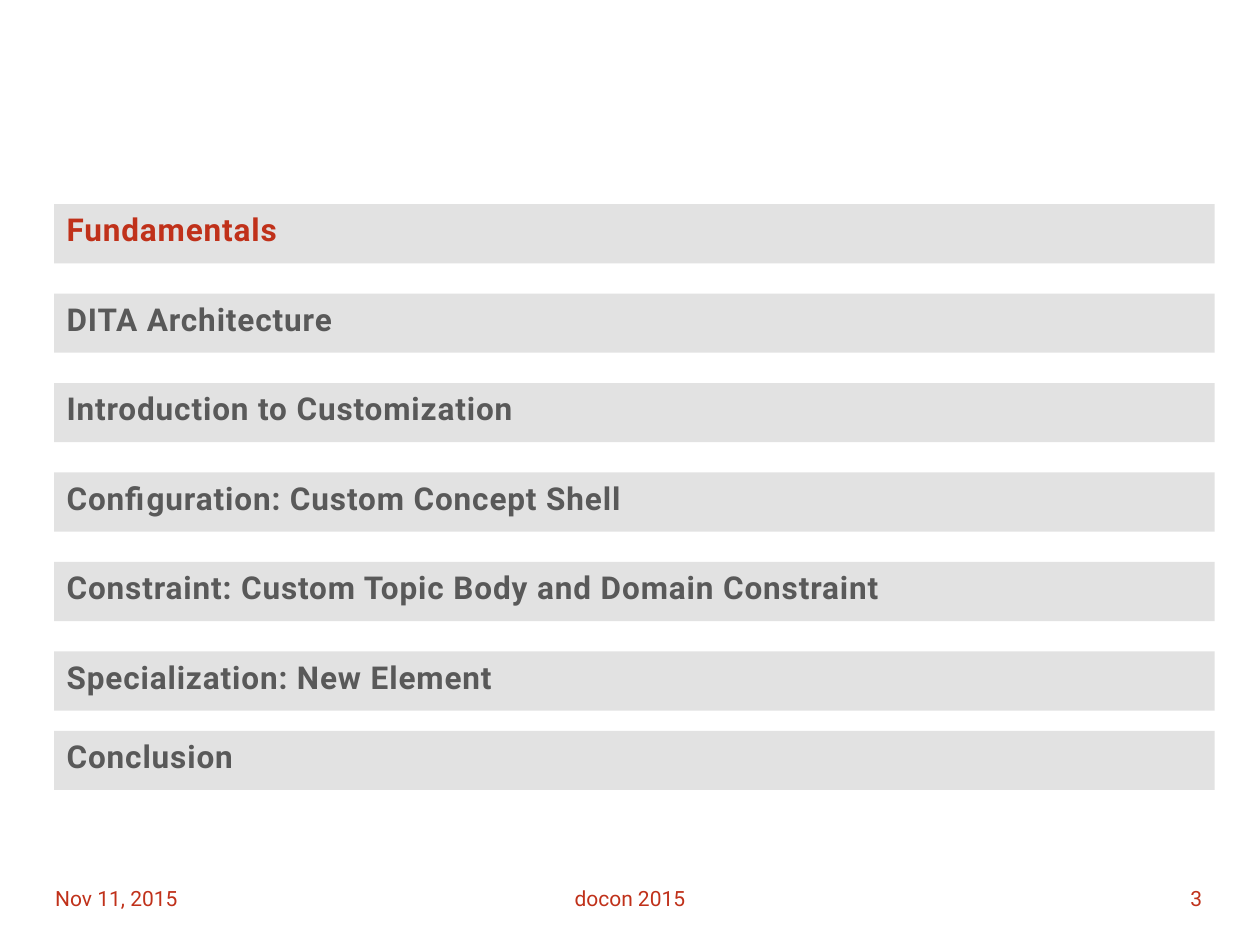
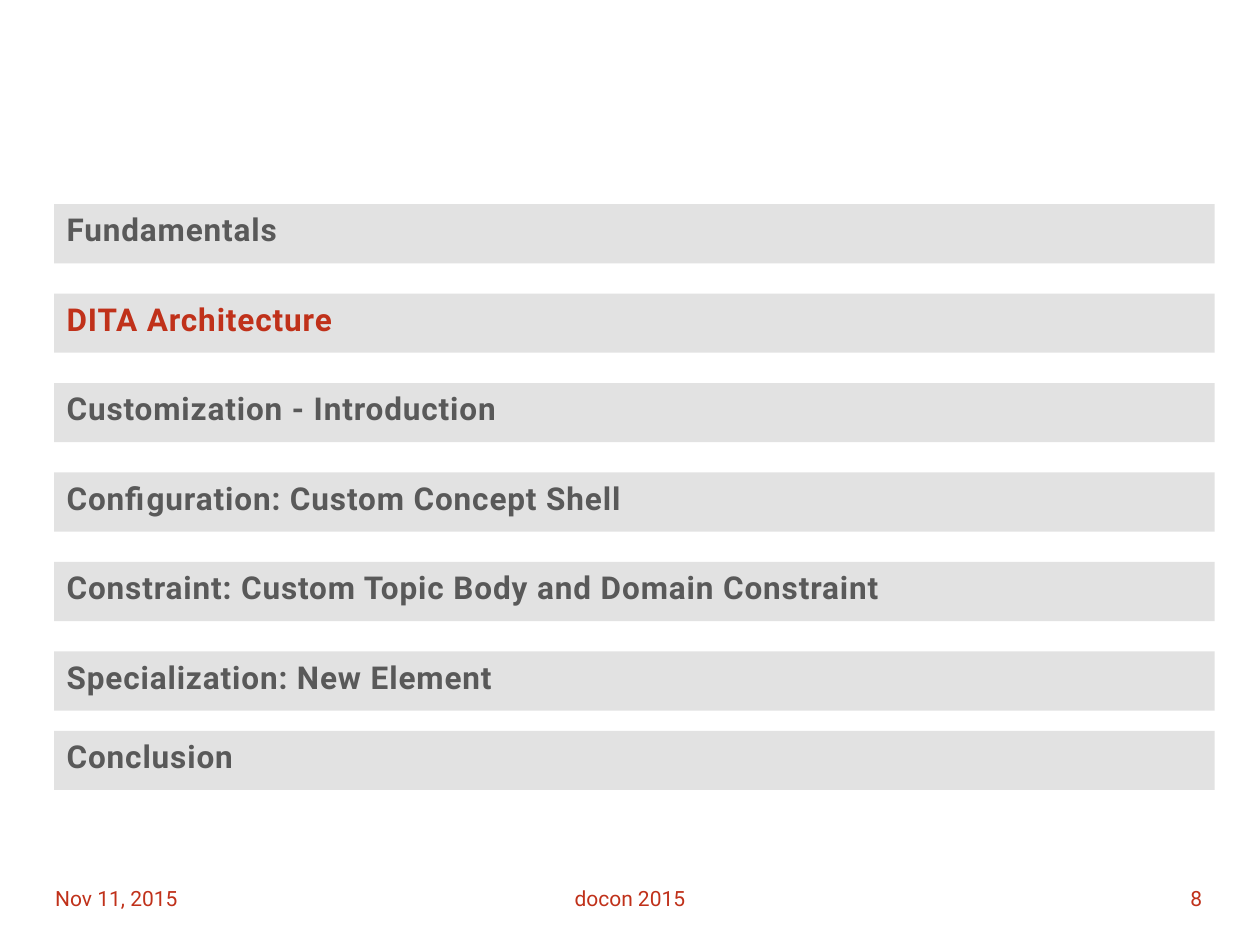
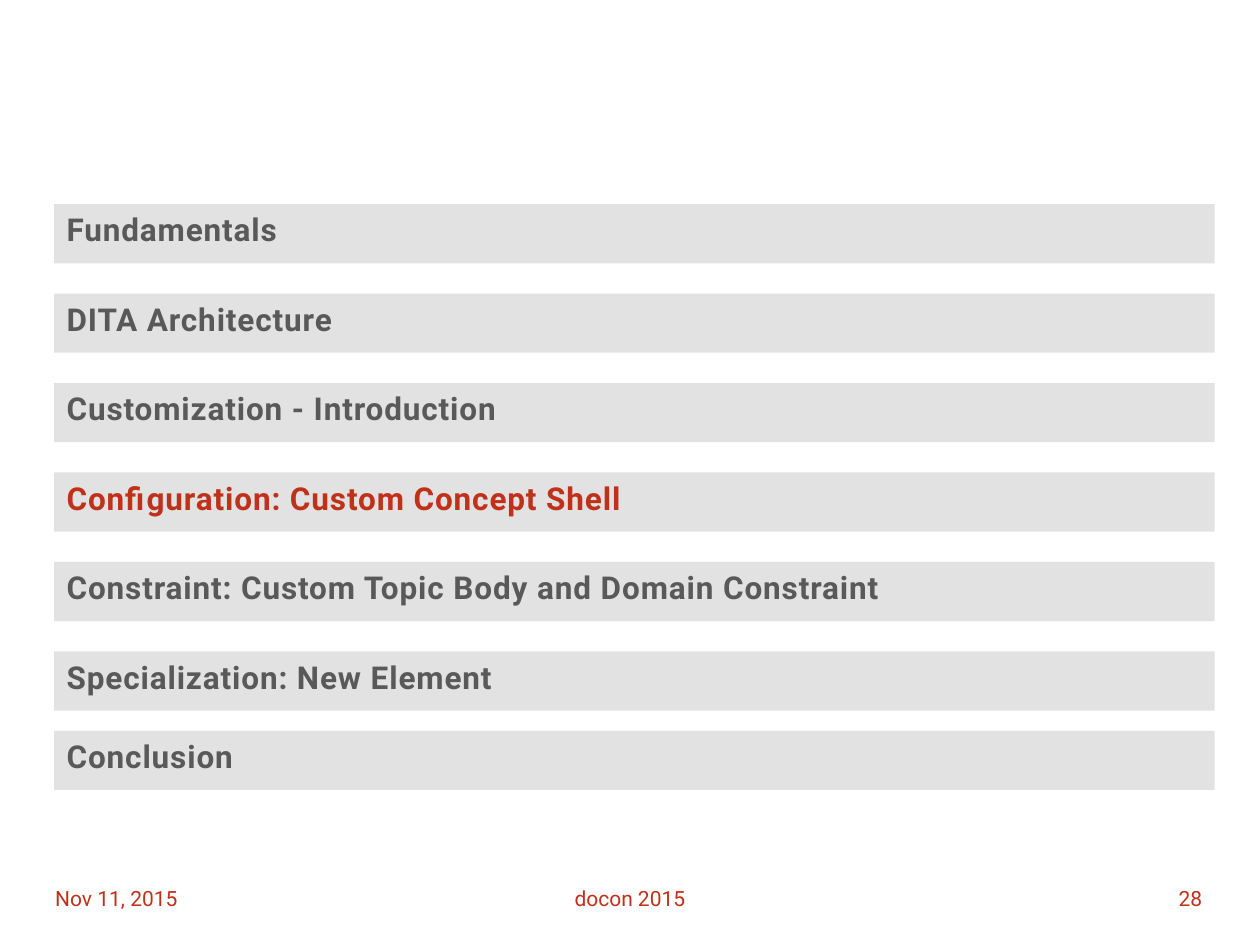
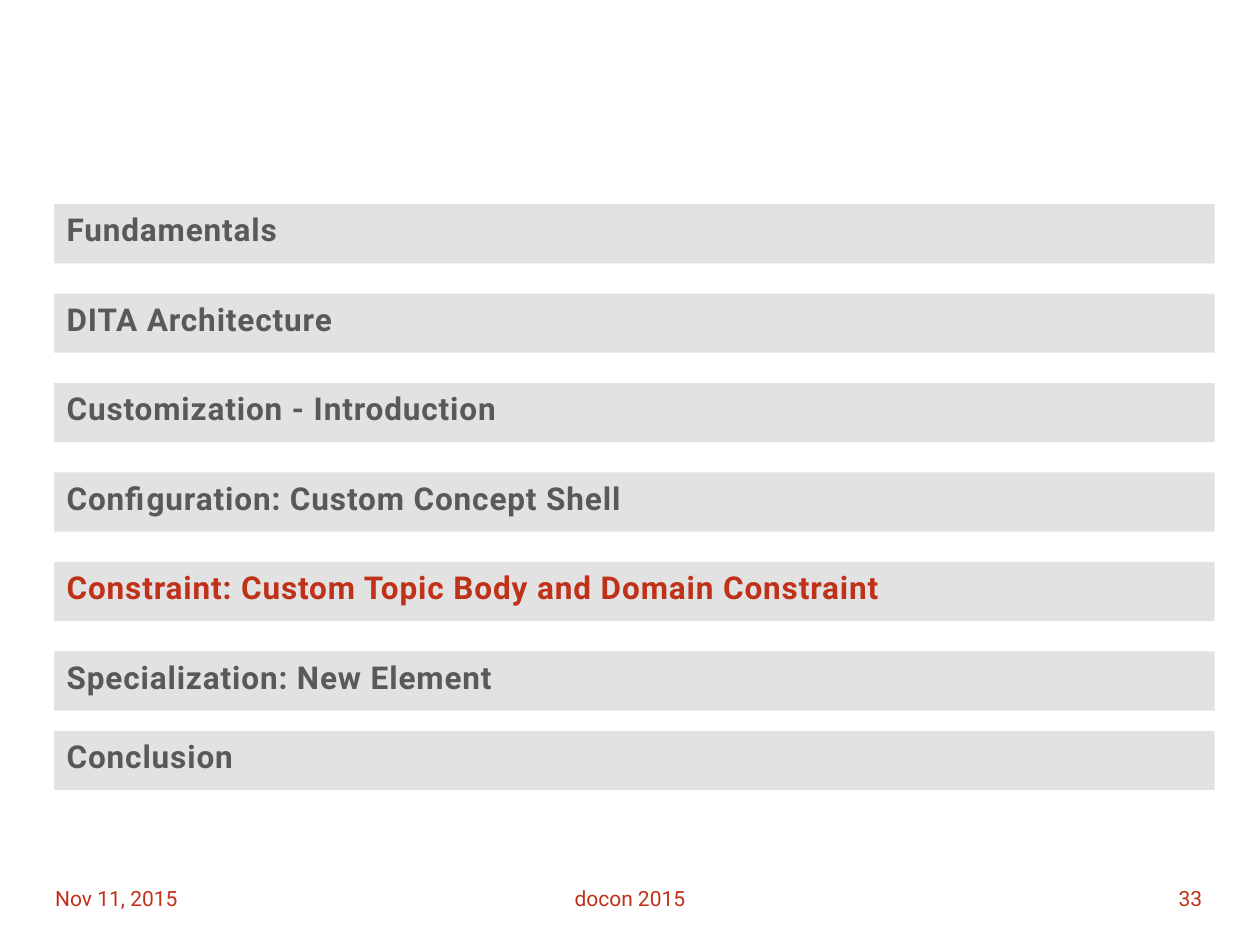
from dataclasses import dataclass

from pptx import Presentation
from pptx.dml.color import RGBColor
from pptx.enum.shapes import MSO_SHAPE as Shape
from pptx.enum.text import MSO_ANCHOR as Anchor, PP_ALIGN as Align
from pptx.util import Inches, Pt


@dataclass(frozen=True)
class Theme:
    accent: RGBColor = RGBColor(0xC0, 0x31, 0x1A)
    muted: RGBColor = RGBColor(0x59, 0x59, 0x59)
    band: RGBColor = RGBColor(0xE2, 0xE2, 0xE2)
    font: str = "Roboto"
    topic_size: Pt = Pt(18)
    footer_size: Pt = Pt(12)
    topic_spacing: int = 50


@dataclass(frozen=True)
class Box:
    left: float
    top: float
    width: float
    height: float

    def emu(self):
        return [Inches(v) for v in (self.left, self.top, self.width, self.height)]


THEME = Theme()
AGENDA_BOX = Box(0.43, 1.62, 9.21, 4.65)
FOOTER_BOX = Box(0.34, 6.93, 9.3, 0.4)
BAND_HEIGHT = 0.47
BAND_PITCH = 0.71
SIDE_FOOTER_WIDTH = 2.33
EVENT_WIDTH = 2.94
EVENT_OFFSET = 3.19

DATE = "Nov 11, 2015"
EVENT = "docon 2015"
AGENDA_SLIDES = [
    (3, "Fundamentals", "Introduction to Customization"),
    (8, "DITA Architecture", "Customization - Introduction"),
    (28, "Configuration: Custom Concept Shell", "Customization - Introduction"),
    (33, "Constraint: Custom Topic Body and Domain Constraint",
     "Customization - Introduction"),
]


def agenda_topics(customization):
    return [
        "Fundamentals",
        "DITA Architecture",
        customization,
        "Configuration: Custom Concept Shell",
        "Constraint: Custom Topic Body and Domain Constraint",
        "Specialization: New Element",
        "Conclusion",
    ]


def apply_format(target, values):
    for attribute, value in values.items():
        setattr(target, attribute, value)


def write_text(holder, text, color, size, align=Align.LEFT, anchor=Anchor.TOP,
               bold=False):
    frame = holder.text_frame
    apply_format(frame, {"word_wrap": True, "vertical_anchor": anchor})
    line = frame.paragraphs[0]
    line.alignment = align
    run = line.add_run()
    run.text = text
    apply_format(run.font, {"name": THEME.font, "size": size, "bold": bold})
    run.font.color.rgb = color
    return run


def add_topic_band(slide, box, topic, is_current):
    band = slide.shapes.add_shape(Shape.RECTANGLE, *box.emu())
    band.shadow.inherit = False
    band.fill.solid()
    band.fill.fore_color.rgb = THEME.band
    band.line.fill.background()
    color = THEME.accent if is_current else THEME.muted
    run = write_text(band, topic, color, THEME.topic_size, bold=True)
    run.font._element.set("spc", str(THEME.topic_spacing))


def add_agenda(slide, box, topics, current):
    last = len(topics) - 1
    for index, topic in enumerate(topics):
        offset = box.height - BAND_HEIGHT if index == last else index * BAND_PITCH
        band_box = Box(box.left, box.top + offset, box.width, BAND_HEIGHT)
        add_topic_band(slide, band_box, topic, topic == current)


def add_footer(slide, box, page):
    parts = [
        (EVENT, EVENT_OFFSET, EVENT_WIDTH, Align.CENTER),
        (DATE, 0, SIDE_FOOTER_WIDTH, Align.LEFT),
        (str(page), box.width - SIDE_FOOTER_WIDTH, SIDE_FOOTER_WIDTH, Align.RIGHT),
    ]
    for text, offset, width, align in parts:
        part_box = Box(box.left + offset, box.top, width, box.height)
        holder = slide.shapes.add_textbox(*part_box.emu())
        write_text(holder, text, THEME.accent, THEME.footer_size, align, Anchor.MIDDLE)


def main():
    deck = Presentation()
    apply_format(deck, {"slide_width": Inches(10), "slide_height": Inches(7.5)})
    blank = deck.slide_layouts[6]
    for page, current, customization in AGENDA_SLIDES:
        slide = deck.slides.add_slide(blank)
        add_footer(slide, FOOTER_BOX, page)
        add_agenda(slide, AGENDA_BOX, agenda_topics(customization), current)
    deck.save("out.pptx")


if __name__ == "__main__":
    main()
